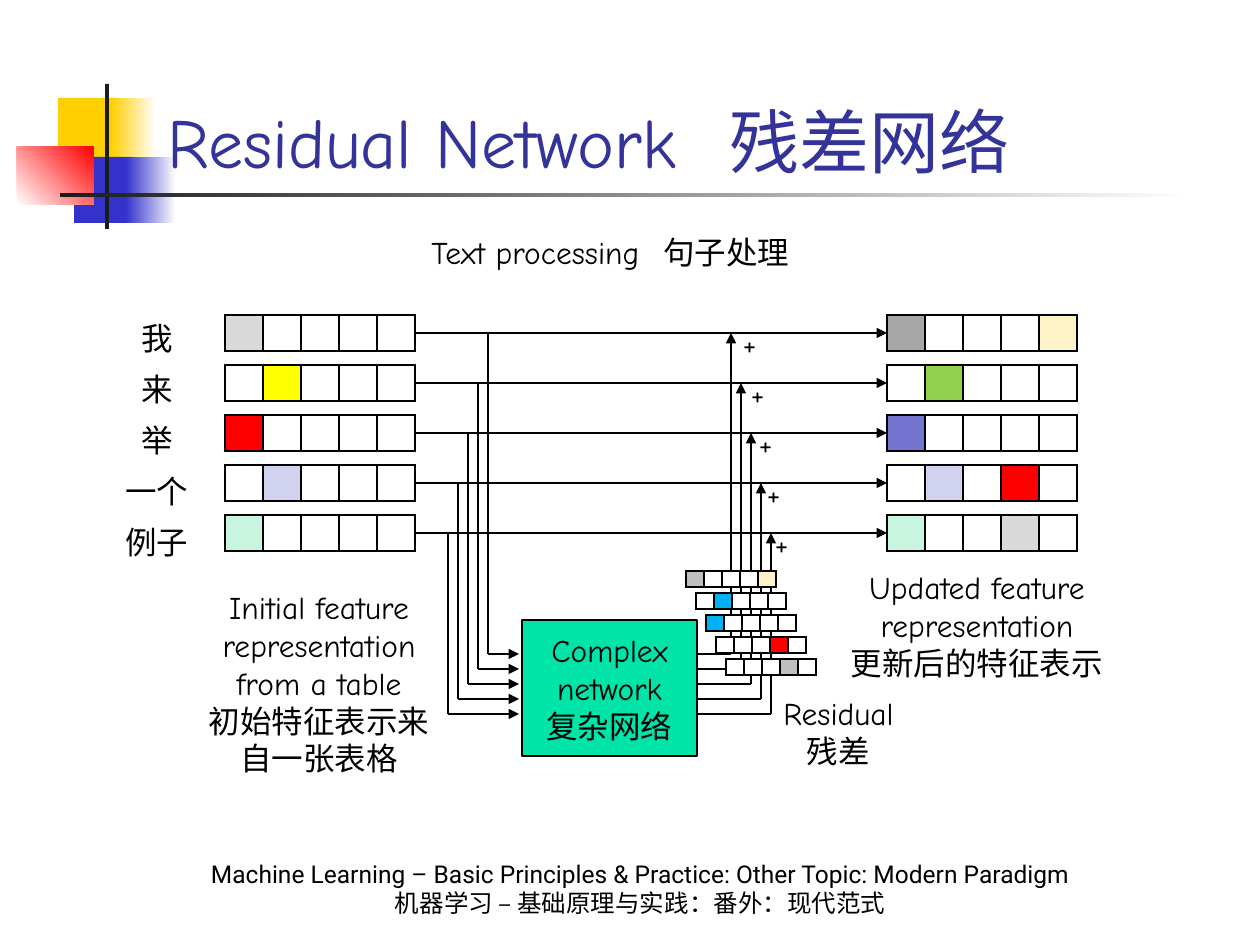
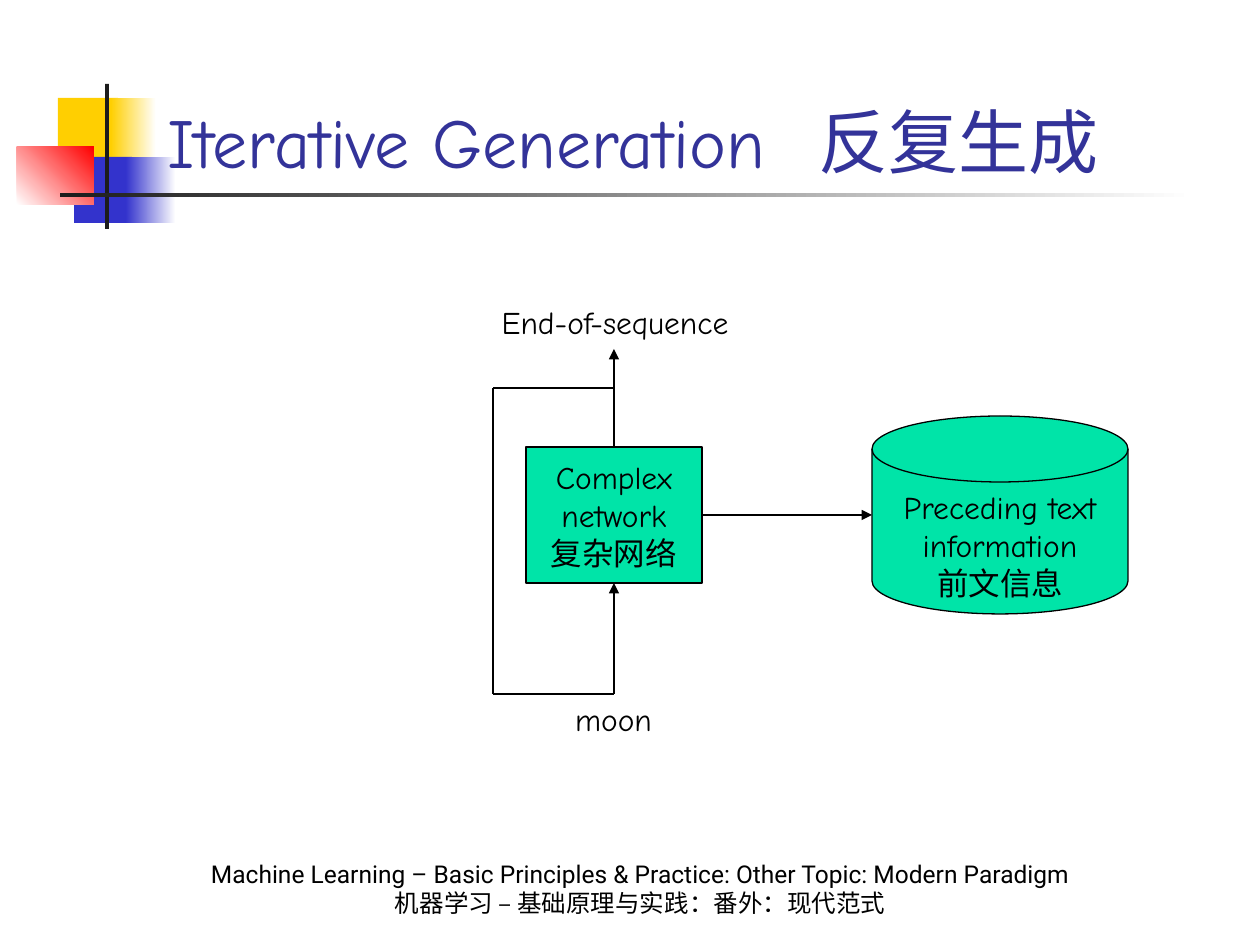
import dataclasses

import lxml.etree
import pptx
import pptx.dml.color
import pptx.enum.shapes
import pptx.enum.text
import pptx.oxml.ns
import pptx.util

SHAPE = pptx.enum.shapes.MSO_SHAPE
LINE = pptx.enum.shapes.MSO_CONNECTOR.STRAIGHT
ALIGN = pptx.enum.text.PP_ALIGN
ANCHOR = pptx.enum.text.MSO_ANCHOR
FOOTER = (
    "Machine Learning – Basic Principles & Practice: Other Topic: Modern Paradigm",
    "机器学习 – 基础原理与实践：番外：现代范式",
)
NETWORK = ("Complex network", "复杂网络")


@dataclasses.dataclass(frozen=True)
class Theme:
    """Colours, fonts and type sizes of the deck."""
    ink: str = "000000"
    paper: str = "FFFFFF"
    title: str = "333399"
    bar: str = "1C1C1C"
    gold: str = "FFCF01"
    blue: str = "3333CC"
    red: str = "FF0000"
    node: str = "00E4A8"
    light: str = "D9D9D9"
    mid: str = "BFBFBF"
    dark: str = "A6A6A6"
    lemon: str = "FFFF00"
    cream: str = "FFF4C8"
    green: str = "92D050"
    mint: str = "C7F5E0"
    lilac: str = "D1D1F0"
    plum: str = "7575D1"
    sky: str = "00B0F0"
    hand: str = "Comic Neue"
    sans: str = "Roboto"
    head: int = 40
    body: int = 18
    foot: int = 14
    tiny: int = 6
    thin: float = 0.75


T = Theme()
INPUTS = ({0: T.light}, {1: T.lemon}, {0: T.red}, {1: T.lilac}, {0: T.mint})
RESIDUES = ({0: T.mid, 4: T.cream}, {1: T.sky}, {0: T.sky}, {3: T.red}, {3: T.mid})
OUTPUTS = ({0: T.dark, 4: T.cream}, {1: T.green}, {0: T.plum},
           {1: T.lilac, 3: T.red}, {0: T.mint, 3: T.light})


@dataclasses.dataclass
class Pane:
    """A region of a slide with its own origin in px."""
    slide: object
    left: int = 0
    top: int = 0

    def at(self, x, y):
        """Return a point of the pane in EMU."""
        return px(self.left + x), px(self.top + y)


def px(n):
    """Turn px into EMU."""
    return pptx.util.Emu(round(n * 914400 / 126))


def rgb(code):
    """Return a colour from its hex code."""
    return pptx.dml.color.RGBColor.from_string(code)


def node(parent, tag, **attrs):
    """Append a drawing element."""
    return lxml.etree.SubElement(parent, pptx.oxml.ns.qn(tag), **attrs)


def style(para, size=T.body, font=T.hand, color=T.ink, align=ALIGN.CENTER):
    """Set the look of one paragraph."""
    para.alignment = align
    para.font.size = pptx.util.Pt(size)
    para.font.name = font
    para.font.color.rgb = rgb(color)


def write(frame, lines, anchor=ANCHOR.TOP, size=T.body, **look):
    """Fill a frame; a tuple line holds two parts with a wide gap."""
    frame.word_wrap = True
    frame.vertical_anchor = anchor
    for i, line in enumerate(lines):
        para = frame.add_paragraph() if i else frame.paragraphs[0]
        if isinstance(line, tuple):
            for part in (line[0], " ", line[1]):
                run = para.add_run()
                run.text = part
                if part == " ":
                    run.font._element.set("spc", str(size * 43))
        else:
            para.text = line
        style(para, size, **look)


def label(pane, x, y, w, h, *lines, **look):
    """Add a text box."""
    box = pane.slide.shapes.add_textbox(*pane.at(x, y), px(w), px(h))
    write(box.text_frame, lines, **look)


def block(pane, kind, x, y, w, h, color, fade=None, angle=0):
    """Add a plain or fading shape without outline."""
    shape = pane.slide.shapes.add_shape(kind, *pane.at(x, y), px(w), px(h))
    shape.shadow.inherit = False
    shape.line.fill.background()
    if fade:
        shape.fill.gradient()
        shape.fill.gradient_angle = angle
        for stop, code, place in zip(shape.fill.gradient_stops, (color, fade), (0, 1)):
            stop.color.rgb = rgb(code)
            stop.position = place
    else:
        shape.fill.solid()
        shape.fill.fore_color.rgb = rgb(color)
    return shape


def part(pane, kind, x, y, w, h, lines, anchor):
    """Add an outlined green model part."""
    shape = block(pane, kind, x, y, w, h, T.node)
    shape.line.color.rgb = rgb(T.ink)
    shape.line.width = pptx.util.Pt(T.thin)
    write(shape.text_frame, lines, anchor)
    return shape


def route(pane, *points, arrow=True):
    """Draw a path of straight lines and return the last one."""
    for start, end in zip(points, points[1:]):
        line = pane.slide.shapes.add_connector(LINE, *pane.at(*start), *pane.at(*end))
        line.line.color.rgb = rgb(T.ink)
        line.line.width = pptx.util.Pt(T.thin)
        node(line._element.spPr, "a:effectLst")
    if arrow:
        node(line.line._get_or_add_ln(), "a:tailEnd", type="triangle")
    return line


def paint(cell, fill, edge):
    """Give a cell its borders, fill and zero margins."""
    cell.margin_left = cell.margin_right = cell.margin_top = cell.margin_bottom = 0
    props = cell._tc.get_or_add_tcPr()
    for side in "LRTB":
        line = node(props, f"a:ln{side}", w="12700")
        node(node(line, "a:solidFill"), "a:srgbClr", val=edge)
    cell.fill.solid()
    cell.fill.fore_color.rgb = rgb(fill)


def grid(pane, x, y, rows, cols, wide, high):
    """Add a table of equal cells without banding."""
    frame = pane.slide.shapes.add_table(
        rows, cols, *pane.at(x, y), px(cols * wide), px(rows * high))
    table = frame.table
    table.first_row = table.horz_banding = False
    for col in table.columns:
        col.width = px(wide)
    for row in table.rows:
        row.height = px(high)
    return table


def strips(pane, x, y, marks, wide, high, step, shift=0):
    """Stack one five-cell feature strip for each word."""
    for i, mark in enumerate(marks):
        table = grid(pane, x + i * shift, y + i * step, 1, 5, wide, high)
        for k, cell in enumerate(table.iter_cells()):
            paint(cell, mark.get(k, T.paper), T.ink)
            para = cell.text_frame.paragraphs[0]
            node(para._p, "a:endParaRPr", sz=str(T.tiny * 100))


def words(pane):
    """List the words of the sentence."""
    table = grid(pane, 0, 94, 5, 1, 94, 51)
    for cell, word in zip(table.iter_cells(), ("我", "来", "举", "一个", "例子")):
        paint(cell, T.paper, T.paper)
        cell.text = word
        style(cell.text_frame.paragraphs[0])


def wires(pane):
    """Draw the direct lines, the network inputs and the residual returns."""
    for i in range(5):
        row, port = 113 + 50 * i, 434 + 15 * i
        turn, rise = 378 - 10 * i, 621 + 10 * i
        route(pane, (305, row), (777, row))
        route(pane, (turn, row), (turn, port), (409, port))
        route(pane, (587, port), (rise, port), (rise, row))
        label(pane, 617 + 8 * i, 98 + 50 * i, 45, 50, "+")


def residual(pane):
    """Place the residual network diagram."""
    label(pane, 258, 7, 485, 50, ("Text processing", "句子处理"))
    words(pane)
    strips(pane, 115, 95, INPUTS, 38, 36, 50)
    label(pane, 73, 362, 272, 204,
          "Initial feature representation from a table", "初始特征表示来自一张表格")
    part(pane, SHAPE.RECTANGLE, 412, 400, 175, 136, NETWORK, ANCHOR.MIDDLE)
    wires(pane)
    strips(pane, 576, 351, RESIDUES, 18, 16, 22, 10)
    label(pane, 641, 468, 175, 89, "Residual", "残差")
    strips(pane, 777, 95, OUTPUTS, 38, 36, 50)
    label(pane, 710, 342, 314, 127, "Updated feature representation", "更新后的特征表示")


def loop(pane):
    """Place the iterative generation diagram."""
    label(pane, 0, 0, 378, 50, "End-of-sequence")
    label(pane, 88, 397, 199, 50, "moon")
    net = part(pane, SHAPE.RECTANGLE, 100, 150, 176, 136, NETWORK, ANCHOR.MIDDLE)
    part(pane, SHAPE.FLOWCHART_MAGNETIC_DISK, 446, 119, 256, 198,
         ("Preceding text information", "前文信息"), ANCHOR.TOP)
    route(pane, (188, 150), (188, 52)).begin_connect(net, 0)
    route(pane, (276, 218), (446, 218)).begin_connect(net, 3)
    back = route(pane, (188, 91), (67, 91), (67, 397), (188, 397), (188, 286))
    back.end_connect(net, 2)


def badge(pane):
    """Place the coloured squares and rules beside the title."""
    for x, y, w, h, *look in (
        (41, 14, 60, 66, T.gold),
        (94, 14, 45, 66, T.gold, T.paper),
        (57, 73, 58, 66, T.blue),
        (109, 73, 50, 66, T.blue, T.paper),
        (0, 63, 77, 58, T.paper, T.red, 45),
        (88, 0, 4, 145, T.bar),
        (43, 109, 1134, 4, T.bar, T.paper),
    ):
        block(pane, SHAPE.RECTANGLE, x, y, w, h, *look)


def page(deck, title):
    """Add a slide with the shared badge, title and footer."""
    slide = deck.slides.add_slide(deck.slide_layouts[6])
    badge(Pane(slide, 17, 84))
    pane = Pane(slide)
    label(pane, 155, 63, 1074, 126, title, anchor=ANCHOR.BOTTOM,
          size=T.head, color=T.title, align=ALIGN.LEFT)
    label(pane, 105, 861, 1071, 63, *FOOTER, anchor=ANCHOR.BOTTOM,
          size=T.foot, font=T.sans)
    return slide


def main():
    """Build and save the deck."""
    deck = pptx.Presentation()
    deck.slide_width, deck.slide_height = px(1260), px(945)
    residual(Pane(page(deck, ("Residual Network", "残差网络")), 110, 220))
    loop(Pane(page(deck, ("Iterative Generation", "反复生成")), 426, 297))
    deck.save("out.pptx")


if __name__ == "__main__":
    main()
